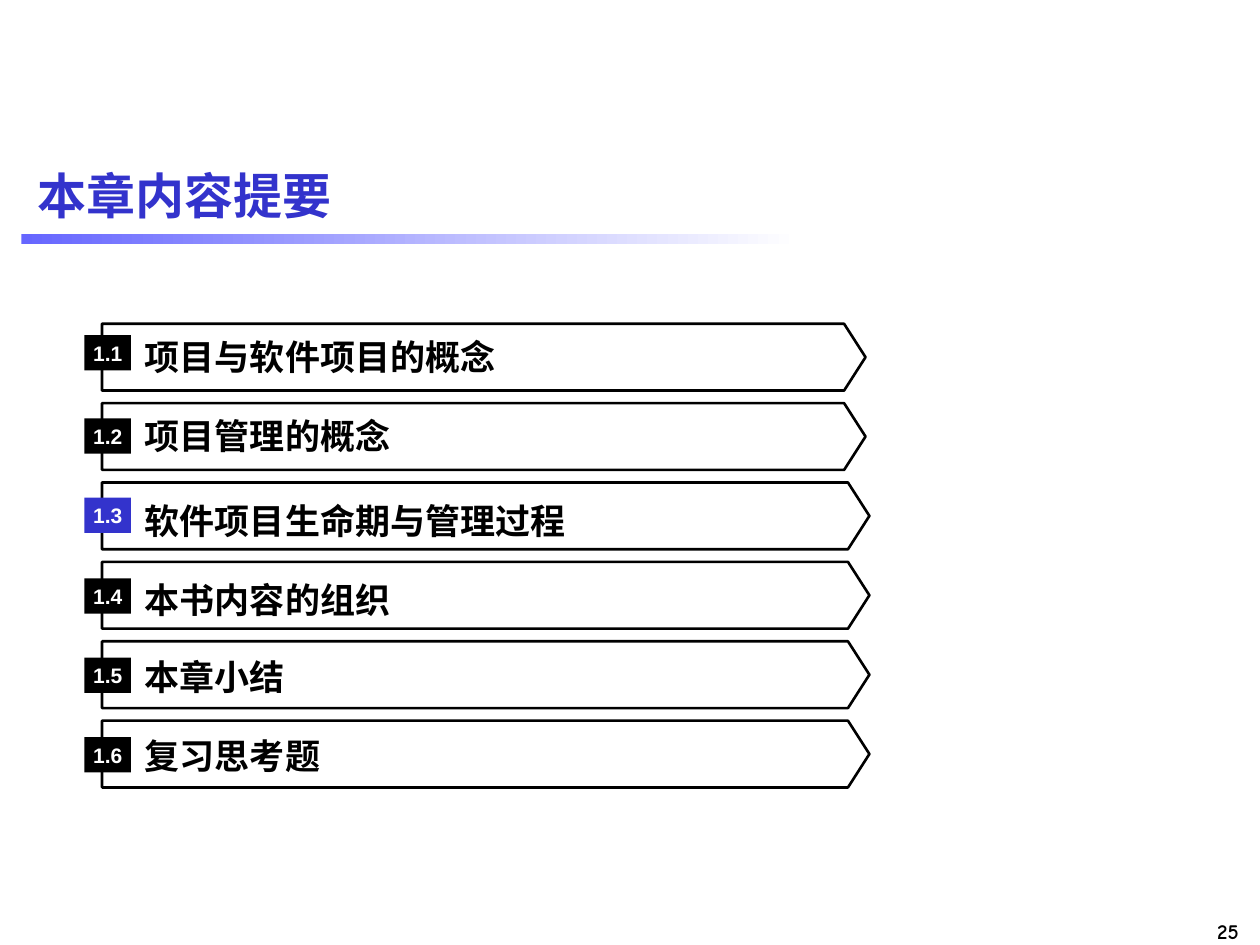
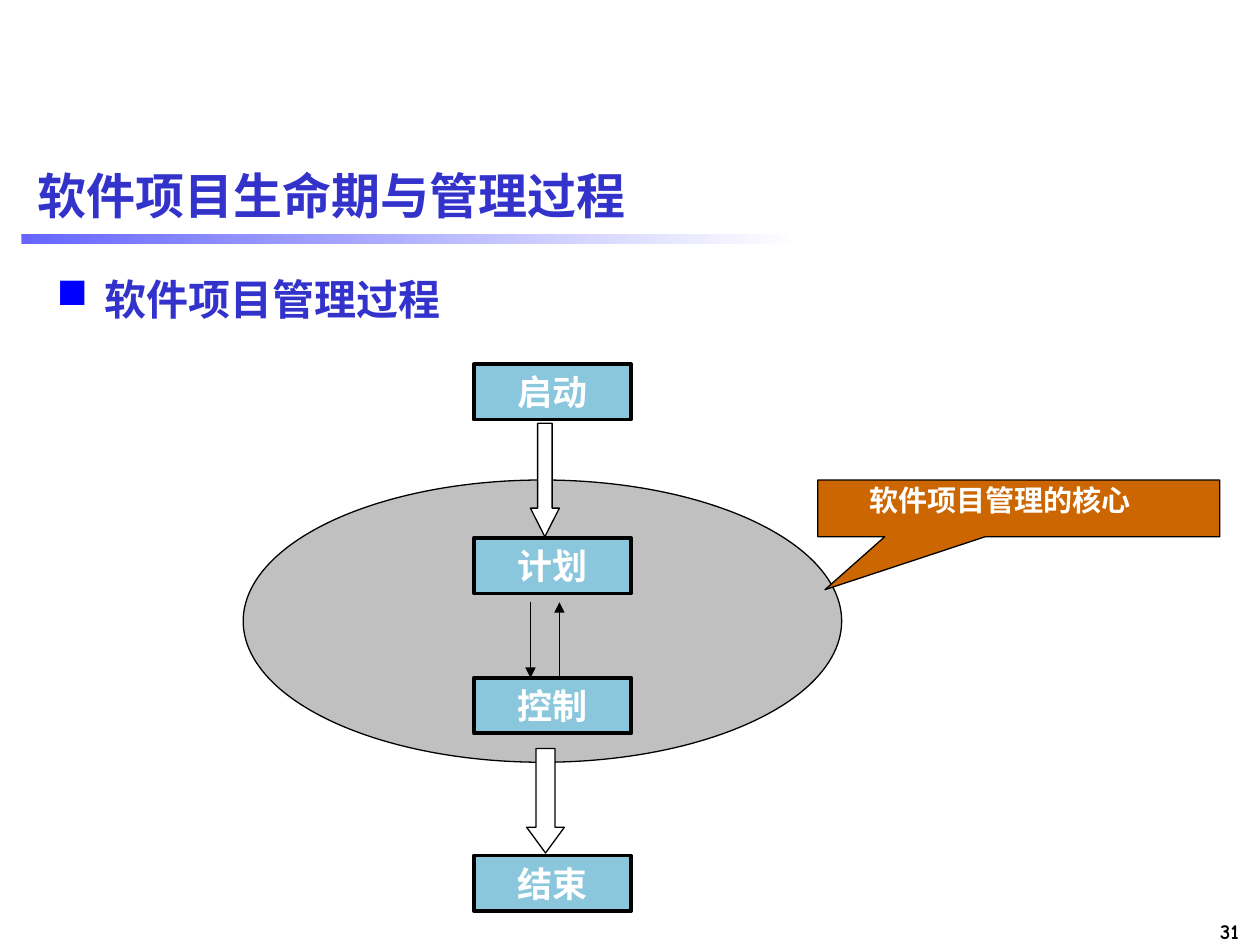
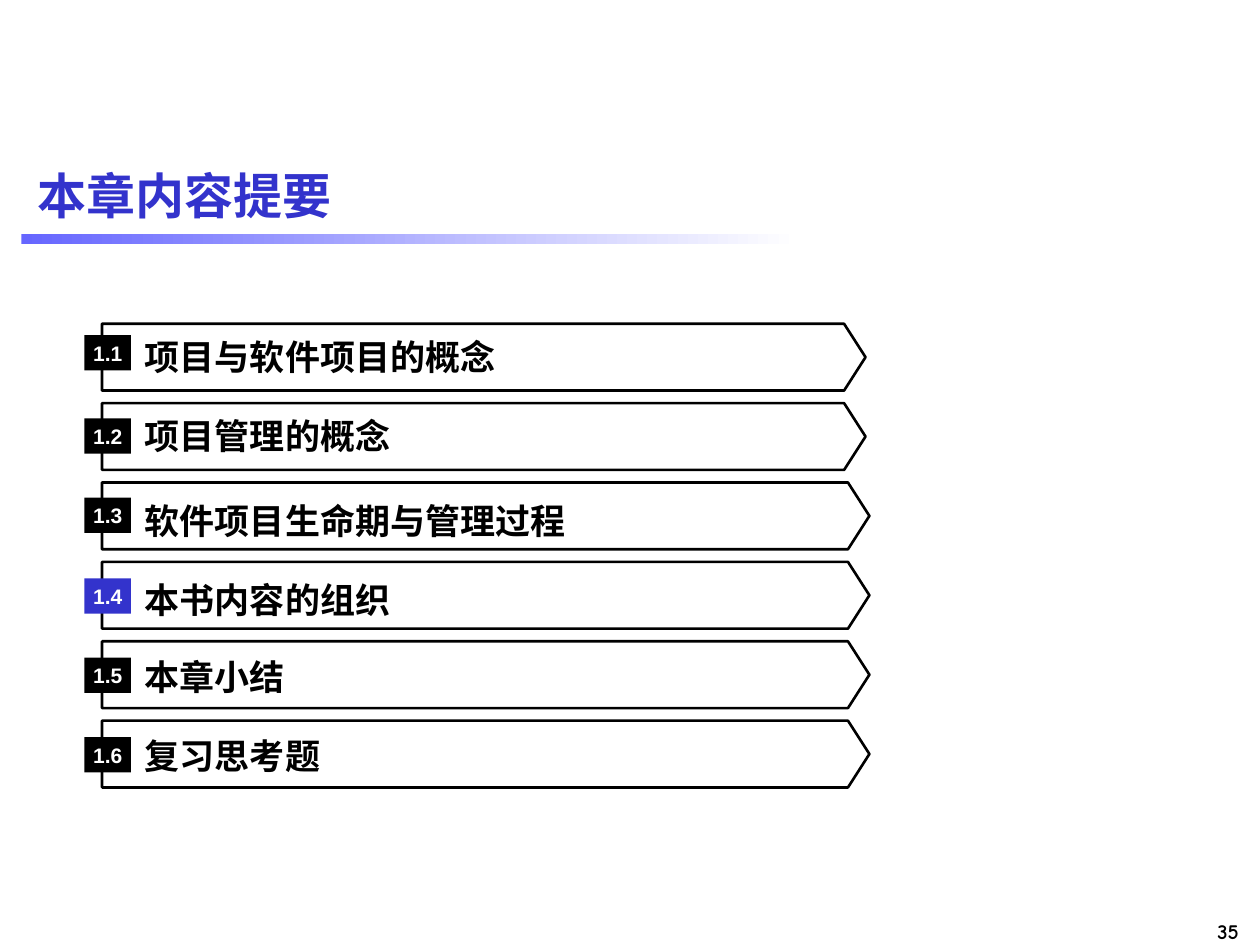
from dataclasses import dataclass

from lxml import etree
from pptx import Presentation
from pptx.dml.color import RGBColor
from pptx.enum.shapes import MSO_CONNECTOR, MSO_SHAPE
from pptx.enum.text import MSO_ANCHOR, PP_ALIGN
from pptx.oxml.ns import qn
from pptx.util import Inches, Pt

LEFT, CENTER, RIGHT = PP_ALIGN.LEFT, PP_ALIGN.CENTER, PP_ALIGN.RIGHT
TOP, MIDDLE = MSO_ANCHOR.TOP, MSO_ANCHOR.MIDDLE
RECTANGLE, ELLIPSE = MSO_SHAPE.RECTANGLE, MSO_SHAPE.OVAL
DOWN_ARROW, CALLOUT = MSO_SHAPE.DOWN_ARROW, MSO_SHAPE.RECTANGULAR_CALLOUT
STRAIGHT = MSO_CONNECTOR.STRAIGHT


@dataclass(frozen=True)
class Theme:
    accent: str = "3333CC"
    band: str = "6666FF"
    bullet: str = "0000FF"
    black: str = "000000"
    white: str = "FFFFFF"
    gray: str = "C0C0C0"
    step: str = "8AC7DC"
    orange: str = "CC6600"
    sans: str = "Arial"
    narrow: str = "Arial Narrow"
    serif: str = "Times New Roman"
    number: str = "Comic Neue"
    title_size: float = 28
    heading_size: float = 24
    body_size: float = 20
    callout_size: float = 16.6
    small_size: float = 12


THEME = Theme()

AGENDA_TITLE = "本章内容提要"
AGENDA_PAGES = [(25, "1.3"), (35, "1.4")]
AGENDA = [
    {"number": "1.1", "text": "项目与软件项目的概念", "width": 6.06, "badge_drop": 0.09, "text_drop": 0.06},
    {"number": "1.2", "text": "项目管理的概念", "width": 6.06, "badge_drop": 0.12, "text_drop": 0.06},
    {"number": "1.3", "text": "软件项目生命期与管理过程", "width": 6.09, "badge_drop": 0.12, "text_drop": 0.1},
    {"number": "1.4", "text": "本书内容的组织", "width": 6.09, "badge_drop": 0.13, "text_drop": 0.1},
    {"number": "1.5", "text": "本章小结", "width": 6.09, "badge_drop": 0.13, "text_drop": 0.08},
    {"number": "1.6", "text": "复习思考题", "width": 6.09, "badge_drop": 0.13, "text_drop": 0.08},
]
ROW_LEFT, ROW_TOP, ROW_PITCH, ROW_HEIGHT, ROW_TIP = 0.81, 2.57, 0.63, 0.53, 0.17

PROCESS_TITLE = "软件项目生命期与管理过程"
PROCESS_PAGE = 31
PROCESS_HEADING = "软件项目管理过程"
PROCESS_CORE = "软件项目管理的核心"
STEPS = [("启动", 2.89), ("计划", 4.27), ("控制", 5.38), ("结束", 6.79)]
BLOCK_ARROWS = [((4.21, 3.36, 0.23, 0.9), 0.985), ((4.18, 5.94, 0.3, 0.83), 0.681)]
LOOP_ARROWS = [(4.21, 4.78, 5.38), (4.44, 5.38, 4.78)]


def rgb(color):
    return RGBColor.from_string(color)


def write(shape, text, size, font, color, align=LEFT, anchor=MIDDLE, insets=(0.1, 0.05), bold=True):
    frame = shape.text_frame
    frame.word_wrap = True
    frame.vertical_anchor = anchor
    frame.margin_left = frame.margin_right = Inches(insets[0])
    frame.margin_top = frame.margin_bottom = Inches(insets[1])
    para = frame.paragraphs[0]
    para.text = text
    para.alignment = align
    para.font.size = Pt(size)
    para.font.name = font
    para.font.bold = bold
    para.font.color.rgb = rgb(color)
    return para


def add_text(page, place, *args, **style):
    box = page.shapes.add_textbox(*map(Inches, place))
    return write(box, *args, **style)


def paint(shape, fill=None, line=None, width=0.75):
    shape.shadow.inherit = False
    if fill:
        shape.fill.solid()
        shape.fill.fore_color.rgb = rgb(fill)
    else:
        shape.fill.background()
    if line:
        shape.line.color.rgb = rgb(line)
        shape.line.width = Pt(width)
    else:
        shape.line.fill.background()


def add_preset(page, kind, place, fill, line=None, width=0.75):
    shape = page.shapes.add_shape(kind, *map(Inches, place))
    paint(shape, fill, line, width)
    return shape


def add_arrow(page, x, start, end):
    arrow = page.shapes.add_connector(STRAIGHT, Inches(x), Inches(start), Inches(x), Inches(end))
    arrow.line.color.rgb = rgb(THEME.black)
    arrow.line.width = Pt(0.75)
    etree.SubElement(arrow.line._get_or_add_ln(), qn("a:tailEnd"), type="triangle")
    etree.SubElement(arrow._element.spPr, qn("a:effectLst"))


def indent(para, left, first):
    props = para._p.get_or_add_pPr()
    props.set("marL", str(Inches(left)))
    props.set("indent", str(Inches(first)))
    return props


def add_bullet(para, char, color):
    props = indent(para, 0.38, -0.38)
    tint = etree.Element(qn("a:buClr"))
    etree.SubElement(tint, qn("a:srgbClr"), val=color)
    props.insert(0, tint)
    props.insert(1, etree.Element(qn("a:buChar"), char=char))


def add_page(deck, title, number):
    page = deck.slides.add_slide(deck.slide_layouts[5])
    band = add_preset(page, RECTANGLE, (0.17, 1.86, 6.17, 0.08), THEME.band)
    band.fill.gradient()
    band.fill.gradient_angle = 0
    for stop, color in zip(band.fill.gradient_stops, (THEME.band, THEME.white)):
        stop.color.rgb = rgb(color)
    heading = page.shapes.title
    heading.left, heading.top, heading.width, heading.height = map(Inches, (0.2, 1.15, 9.61, 0.79))
    write(heading, title, THEME.title_size, THEME.sans, THEME.accent)
    add_text(page, (9.01, 7.24, 0.92, 0.3), str(number), THEME.small_size, THEME.number,
             THEME.black, align=RIGHT, anchor=TOP)
    return page


def add_agenda_row(page, item, top, badge_color):
    right, bottom = ROW_LEFT + item["width"], top + ROW_HEIGHT
    outline = [(ROW_LEFT, top), (right - ROW_TIP, top), (right, top + ROW_HEIGHT / 2),
               (right - ROW_TIP, bottom), (ROW_LEFT, bottom)]
    points = [(Inches(x), Inches(y)) for x, y in outline]
    builder = page.shapes.build_freeform(*points[0])
    builder.add_line_segments(points[1:], close=True)
    paint(builder.convert_to_shape(), line=THEME.black, width=1.5)
    add_text(page, (1.15, top + item["text_drop"], 5.33, 0.4), item["text"], THEME.body_size,
             THEME.serif, THEME.black, insets=(0, 0))
    badge = add_preset(page, RECTANGLE, (0.67, top + item["badge_drop"], 0.37, 0.28), badge_color)
    write(badge, item["number"], THEME.small_size, THEME.sans, THEME.white, align=CENTER, insets=(0, 0))


def build_agenda(deck, number, current):
    page = add_page(deck, AGENDA_TITLE, number)
    for index, item in enumerate(AGENDA):
        color = THEME.accent if item["number"] == current else THEME.black
        add_agenda_row(page, item, ROW_TOP + index * ROW_PITCH, color)


def build_process(deck):
    page = add_page(deck, PROCESS_TITLE, PROCESS_PAGE)
    heading = page.shapes.add_textbox(*map(Inches, (0.35, 2.12, 9.45, 0.6)))
    add_bullet(heading.text_frame.paragraphs[0], "■", THEME.bullet)
    write(heading, PROCESS_HEADING, THEME.heading_size, THEME.sans, THEME.accent, anchor=TOP)
    add_preset(page, ELLIPSE, (1.93, 3.81, 4.75, 2.24), THEME.gray, THEME.black)
    for place, head in BLOCK_ARROWS:
        arrow = add_preset(page, DOWN_ARROW, place, THEME.white, THEME.black)
        arrow.adjustments[1] = head
    callout = add_preset(page, CALLOUT, (6.49, 3.81, 3.19, 0.45), THEME.orange, THEME.black)
    callout.adjustments[0], callout.adjustments[1] = -0.482, 1.434
    para = write(callout, PROCESS_CORE, THEME.callout_size, THEME.serif, THEME.white, anchor=TOP)
    para.line_spacing = 0.9
    indent(para, 0, 0.31)
    for x, start, end in LOOP_ARROWS:
        add_arrow(page, x, start, end)
    for label, top in STEPS:
        step = add_preset(page, RECTANGLE, (3.76, top, 1.25, 0.44), THEME.step, THEME.black, 2)
        write(step, label, THEME.body_size, THEME.narrow, THEME.white, align=CENTER)


def main():
    deck = Presentation()
    deck.slide_width, deck.slide_height = Inches(10), Inches(7.5)
    first, last = AGENDA_PAGES
    build_agenda(deck, *first)
    build_process(deck)
    build_agenda(deck, *last)
    deck.save("out.pptx")


if __name__ == "__main__":
    main()
